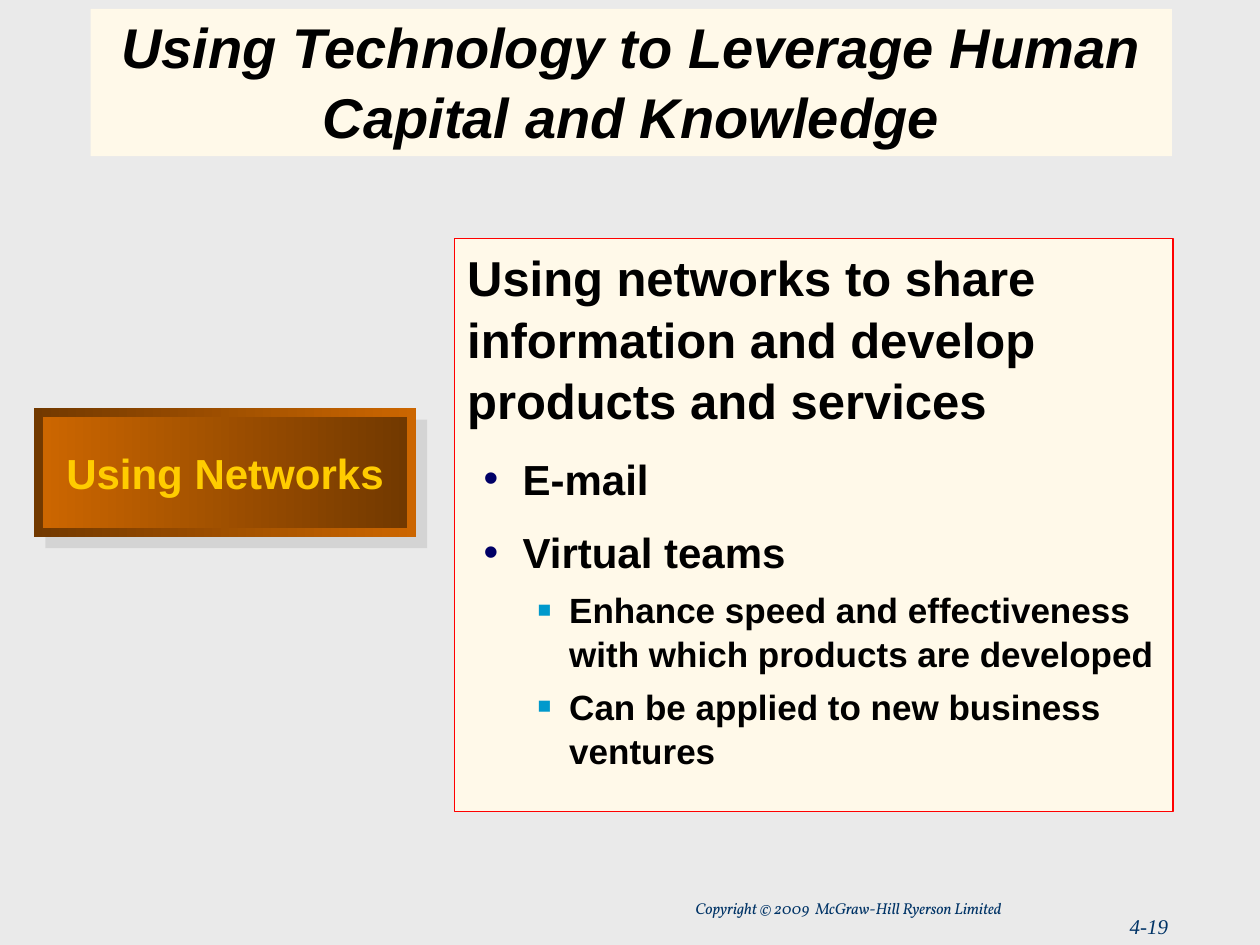
from lxml import etree
from pptx import Presentation
from pptx.dml.color import RGBColor
from pptx.enum.shapes import MSO_SHAPE
from pptx.enum.text import MSO_ANCHOR, PP_ALIGN
from pptx.oxml.ns import qn
from pptx.util import Inches, Pt

RECT = MSO_SHAPE.RECTANGLE
TOP, MIDDLE, BOTTOM = MSO_ANCHOR.TOP, MSO_ANCHOR.MIDDLE, MSO_ANCHOR.BOTTOM
LEFT, CENTER, RIGHT = PP_ALIGN.LEFT, PP_ALIGN.CENTER, PP_ALIGN.RIGHT

TITLE = "Using Technology to Leverage Human Capital and Knowledge"
BODY = [
    (0, "Using networks to share information and develop products and services"),
    (1, "E-mail"),
    (1, "Virtual teams"),
    (2, "Enhance speed and effectiveness with which products are developed"),
    (2, "Can be applied to new business ventures"),
]
BUTTON = "Using Networks"
RIGHTS = "Copyright © 2009  McGraw-Hill Ryerson Limited"
NUMBER = "4-19"

THEME = {
    "back": "EAEAEA", "panel": "FFF9E9", "edge": "FF0000", "ink": "000000",
    "foot": "003366", "gold": "FFCC00", "dark": "723900", "light": "CC6600",
    "shade": "C0C0C0", "sans": "Arial", "serif": "Times New Roman",
    "fine": "Vollkorn", "title": 32, "button": 24, "number": 12, "rights": 9,
}
LEVELS = [
    {"size": 28},
    {"size": 24, "before": 12, "indent": (0.44, -0.31), "mark": ("•", "000066", 100)},
    {"size": 20, "before": 5, "indent": (0.81, -0.25), "mark": ("■", "0099CC", 65)},
]


def color(name):
    return RGBColor.from_string(THEME[name])


def add_mark(par, sign, tint, scale):
    props = par._p.get_or_add_pPr()
    hue = etree.SubElement(props, qn("a:buClr"))
    etree.SubElement(hue, qn("a:srgbClr"), val=tint)
    etree.SubElement(props, qn("a:buSzPct"), val=str(scale * 1000))
    etree.SubElement(props, qn("a:buFont"), typeface=THEME["sans"])
    etree.SubElement(props, qn("a:buChar"), char=sign)


def add_text(shape, text, size, level=0, font="sans", ink="ink", bold=True,
             italic=False, align=LEFT, anchor=TOP, before=0, space=None,
             indent=None, mark=None):
    frame = shape.text_frame
    frame.word_wrap = True
    frame.vertical_anchor = anchor
    par = frame.paragraphs[0]
    if par.runs:
        par = frame.add_paragraph()
    if mark:
        add_mark(par, *mark)
    if indent:
        props = par._p.get_or_add_pPr()
        props.set("marL", str(Inches(indent[0])))
        props.set("indent", str(Inches(indent[1])))
    par.level = level
    par.alignment = align
    if before:
        par.space_before = Pt(before)
    if space:
        par.line_spacing = space
    run = par.add_run()
    run.text = text
    run.font.name = THEME[font]
    run.font.size = Pt(size)
    run.font.bold = bold
    run.font.italic = italic
    run.font.color.rgb = color(ink)


def add_box(shapes, place, fill, line=None, alpha=None):
    box = shapes.add_shape(RECT, *map(Inches, place))
    box.shadow.inherit = False
    if isinstance(fill, tuple):
        box.fill.gradient()
        box.fill.gradient_angle = 0
        for stop, name, spot in zip(box.fill.gradient_stops, fill, (0, 1)):
            stop.color.rgb = color(name)
            stop.position = spot
    else:
        box.fill.solid()
        box.fill.fore_color.rgb = color(fill)
    if alpha:
        tint = box._element.spPr.find(qn("a:solidFill")).find(qn("a:srgbClr"))
        etree.SubElement(tint, qn("a:alpha"), val=str(alpha * 1000))
    if line:
        box.line.color.rgb = color(line)
        box.line.width = Pt(0.75)
    else:
        box.line.fill.background()
    return box


def add_foot(shapes, place, text, **form):
    box = shapes.add_textbox(*map(Inches, place))
    add_text(box, text, ink="foot", bold=False, italic=True, **form)


def main():
    deck = Presentation()
    deck.slide_width, deck.slide_height = Inches(10), Inches(7.5)
    slide = deck.slides.add_slide(deck.slide_layouts[6])
    slide.background.fill.solid()
    slide.background.fill.fore_color.rgb = color("back")
    shapes = slide.shapes

    add_foot(shapes, (7.7, 7.2, 1.67, 0.3), NUMBER, size=THEME["number"],
             font="serif", align=RIGHT)
    add_foot(shapes, (5.42, 7.08, 4.58, 0.25), RIGHTS, size=THEME["rights"],
             font="fine")

    head = add_box(shapes, (0.72, 0.07, 8.58, 1.17), "panel")
    add_text(head, TITLE, THEME["title"], italic=True, align=CENTER,
             anchor=BOTTOM, space=1.05)

    panel = add_box(shapes, (3.61, 1.89, 5.7, 4.55), "panel", line="edge")
    for level, text in BODY:
        add_text(panel, text, level=level, space=1.05, **LEVELS[level])

    group = shapes.add_group_shape().shapes
    left, top, wide, high = 0.27, 3.24, 3.03, 1.02
    drop, rim = 0.09, 0.07
    add_box(group, (left + drop, top + drop, wide, high), "shade", alpha=50)
    add_box(group, (left, top, wide, high), ("dark", "light"))
    face = add_box(group, (left + rim, top + rim, wide - 2 * rim, high - 2 * rim),
                   ("light", "dark"))
    add_text(face, BUTTON, THEME["button"], ink="gold", align=CENTER, anchor=MIDDLE)

    deck.save("out.pptx")


if __name__ == "__main__":
    main()
